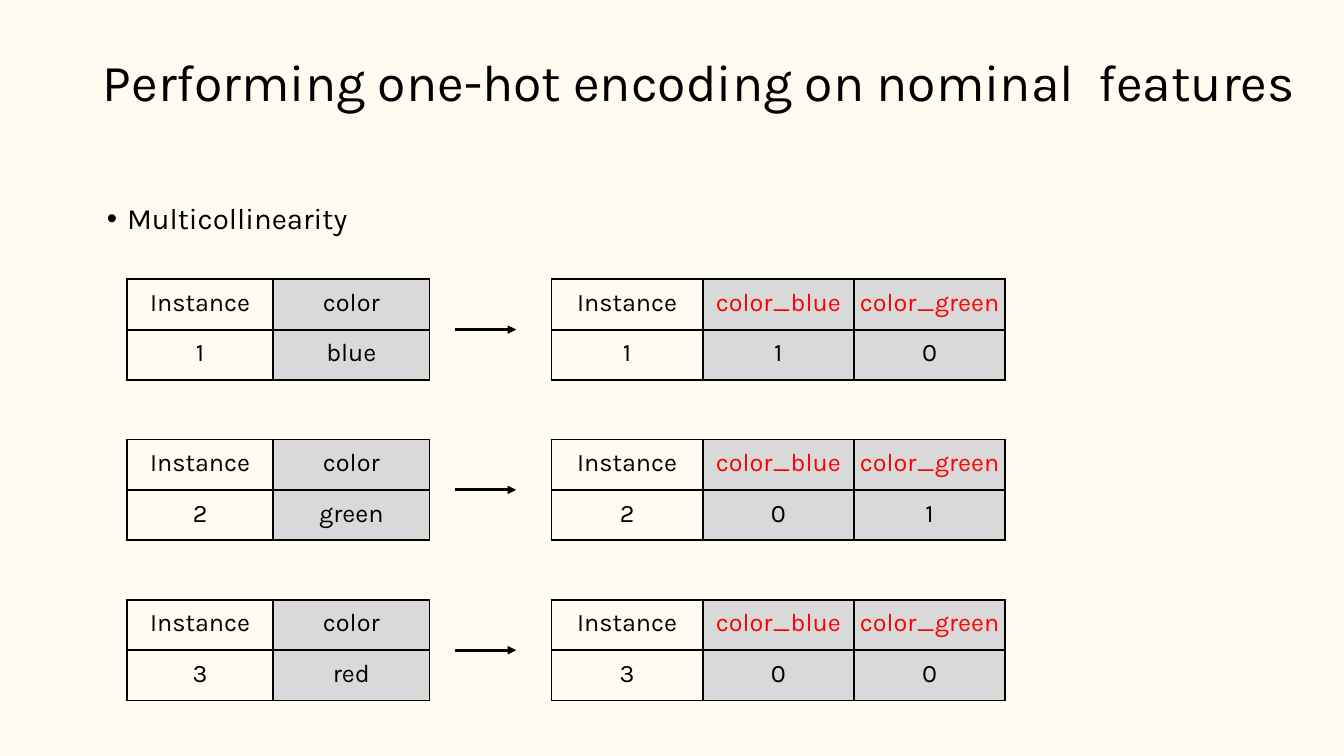
from dataclasses import dataclass

from lxml import etree
from pptx import Presentation
from pptx.dml.color import RGBColor as Color
from pptx.enum.shapes import MSO_CONNECTOR as Connector
from pptx.enum.text import MSO_ANCHOR as Anchor, MSO_AUTO_SIZE as AutoSize, PP_ALIGN as Align
from pptx.oxml import parse_xml
from pptx.oxml.ns import nsdecls, qn
from pptx.util import Pt

EMU_PER_PX = 9144  # 100 px to the inch


@dataclass(frozen=True)
class Theme:
    font: str = "Karla"
    page: Color = Color(0xFF, 0xFB, 0xF0)
    ink: Color = Color(0, 0, 0)
    encoded: Color = Color(0xFF, 0, 0)
    shade: Color = Color(0xD9, 0xD9, 0xD9)
    title_size: int = 37
    bullet_size: int = 21
    cell_size: int = 18
    border: float = 1.5
    arrow: int = 2


THEME = Theme()

ROW_HEIGHT = 50
TABLE_TOP = 277
TABLE_STEP = 159
SOURCE_LEFT, SOURCE_COLUMNS = 126, (145, 155)
ENCODED_LEFT, ENCODED_COLUMNS = 547, (150, 150, 150)
ARROW_START, ARROW_END = 451, 512

# Instance, colour, and its two dummy values
INSTANCES = [
    ("1", "blue", "1", "0"),
    ("2", "green", "0", "1"),
    ("3", "red", "0", "0"),
]


def px(length):
    return length * EMU_PER_PX


def style_paragraph(para, size, color, align):
    para.alignment = align
    for span in para.runs:
        span.font.name = THEME.font
        span.font.size = Pt(size)
        span.font.color.rgb = color


def fill_placeholder(box, text, place, top_inset, size):
    box.left, box.top, box.width, box.height = map(px, place)
    frame = box.text_frame
    frame.text = text
    frame.word_wrap = True
    frame.auto_size = AutoSize.NONE
    frame.vertical_anchor = Anchor.TOP
    frame.margin_left = frame.margin_right = frame.margin_bottom = 0
    frame.margin_top = px(top_inset)
    para = frame.paragraphs[0]
    para.space_before = Pt(0)
    style_paragraph(para, size, THEME.ink, Align.LEFT)
    return para


def add_bullet(para, margin, indent):
    properties = para._p.get_or_add_pPr()
    properties.set("marL", str(px(margin)))
    properties.set("indent", str(px(indent)))
    etree.SubElement(properties, qn("a:buChar")).set("char", "•")


def draw_borders(cell):
    properties = cell._tc.get_or_add_tcPr()
    for index, side in enumerate(("lnL", "lnR", "lnT", "lnB")):
        properties.insert(index, parse_xml(
            f'<a:{side} {nsdecls("a")} w="{Pt(THEME.border)}"><a:solidFill>'
            f'<a:srgbClr val="{THEME.ink}"/></a:solidFill></a:{side}>'))


def fill_cell(cell, text, color, shaded):
    cell.text = text
    cell.margin_left = cell.margin_right = cell.margin_bottom = 0
    cell.margin_top = px(9)
    style_paragraph(cell.text_frame.paragraphs[0], THEME.cell_size, color, Align.CENTER)
    if shaded:
        cell.fill.solid()
        cell.fill.fore_color.rgb = THEME.shade
    else:
        cell.fill.background()
    draw_borders(cell)


def add_feature_table(page, left, top, widths, rows, header_color):
    frame = page.shapes.add_table(len(rows), len(widths), px(left), px(top),
                                  px(sum(widths)), px(ROW_HEIGHT * len(rows)))
    table = frame.table
    table.first_row = table.horz_banding = False
    for column, width in zip(table.columns, widths):
        column.width = px(width)
    for r, values in enumerate(rows):
        for c, text in enumerate(values):
            is_feature = c > 0
            color = header_color if r == 0 and is_feature else THEME.ink
            fill_cell(table.cell(r, c), text, color, is_feature)


def add_arrow(page, y):
    arrow = page.shapes.add_connector(Connector.STRAIGHT, px(ARROW_START), px(y),
                                      px(ARROW_END), px(y))
    arrow.line.color.rgb = THEME.ink
    arrow.line.width = Pt(THEME.arrow)
    etree.SubElement(arrow.line._get_or_add_ln(), qn("a:tailEnd")).set("type", "triangle")
    etree.SubElement(arrow._element.spPr, qn("a:effectLst"))


def main():
    deck = Presentation()
    deck.slide_width, deck.slide_height = px(1333), px(750)
    page = deck.slides.add_slide(deck.slide_layouts[1])
    page.background.fill.solid()
    page.background.fill.fore_color.rgb = THEME.page

    # Title and bullet
    title, body = page.placeholders
    heading = fill_placeholder(title, "Performing one-hot encoding on nominal  features",
                               (102, 35, 1231, 72), 9, THEME.title_size)
    heading.line_spacing = 1.09
    bullet = fill_placeholder(body, "Multicollinearity", (100, 198, 280, 37), 1,
                              THEME.bullet_size)
    add_bullet(bullet, 26, -20)

    # One source table, arrow and encoded table per instance
    for index, (number, color, blue, green) in enumerate(INSTANCES):
        top = TABLE_TOP + index * TABLE_STEP
        add_feature_table(page, SOURCE_LEFT, top, SOURCE_COLUMNS,
                          [("Instance", "color"), (number, color)], THEME.ink)
        add_arrow(page, top + ROW_HEIGHT)
        add_feature_table(page, ENCODED_LEFT, top, ENCODED_COLUMNS,
                          [("Instance", "color_blue", "color_green"),
                           (number, blue, green)], THEME.encoded)

    deck.save("out.pptx")


if __name__ == "__main__":
    main()
